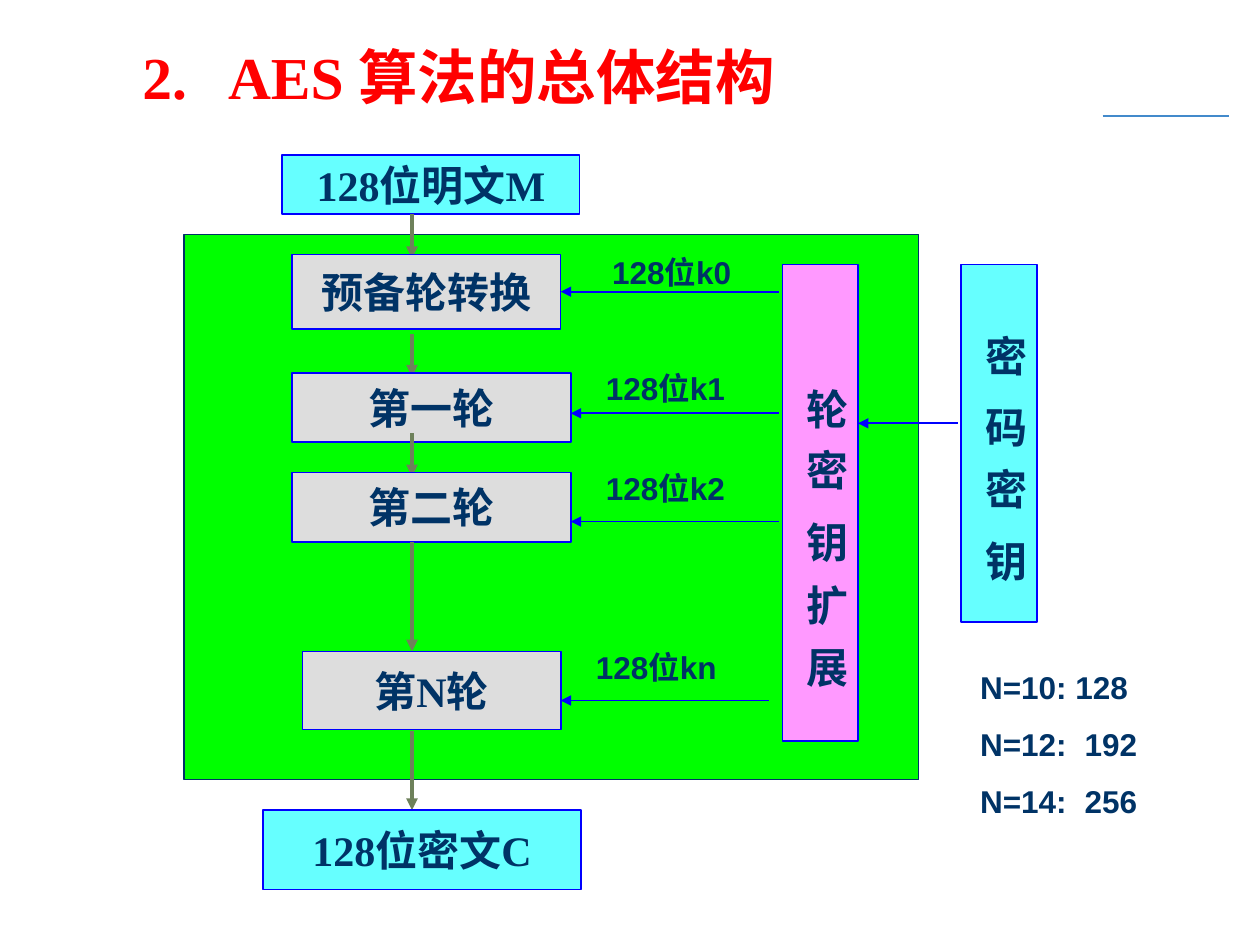
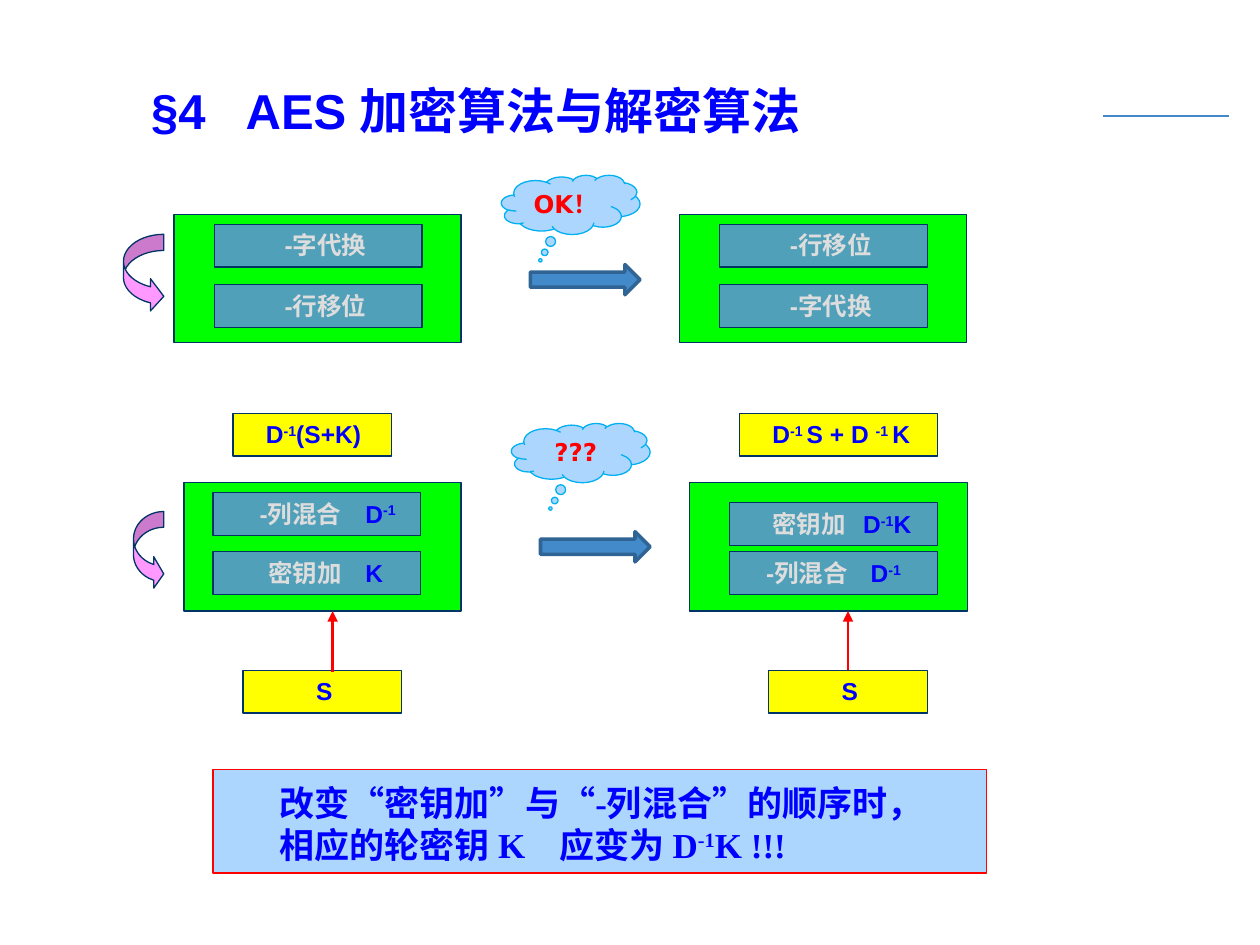
from dataclasses import dataclass

from lxml import etree
from pptx import Presentation
from pptx import util as u
from pptx.dml.color import RGBColor
from pptx.enum import shapes, text
from pptx.oxml import ns

SHAPE = shapes.MSO_SHAPE
ALIGN = text.PP_ALIGN
ANCHOR = text.MSO_ANCHOR
TIGHT = (0.08, 0.04, 0.08, 0.04)
ROOMY = (0.1, 0.05, 0.1, 0.05)


@dataclass(frozen=True)
class Theme:
    """Colours, fonts and type sizes of the deck."""
    green: str = "00FF00"
    cyan: str = "66FFFF"
    pink: str = "FF99FF"
    gray: str = "DDDDDD"
    teal: str = "51A0B9"
    yellow: str = "FFFF00"
    pale: str = "ADD6FF"
    sky: str = "00B0F0"
    accent: str = "438ACB"
    accent_dark: str = "2F6495"
    olive: str = "6E815B"
    navy: str = "003366"
    blue: str = "0000FF"
    red: str = "FF0000"
    serif: str = "Times New Roman"
    sans: str = "Arial"
    cloud_font: str = "DejaVu Sans"
    title: int = 34
    section: int = 28
    box: int = 24
    note: int = 20
    label: int = 18
    cell: int = 14


T = Theme()


def add_tabs(p, stops):
    """Give a paragraph left tab stops, in inches."""
    if stops:
        tabs = etree.SubElement(p._p.get_or_add_pPr(), ns.qn("a:tabLst"))
        for stop in stops:
            etree.SubElement(tabs, ns.qn("a:tab"), pos=str(u.Inches(stop)), algn="l")


def write(sp, lines, size, font, color, inset=ROOMY, align=ALIGN.LEFT,
          anchor=ANCHOR.TOP, wrap=True, tabs=(), gap=0):
    """Write paragraphs of (text, colour) runs; text between carets is superscript."""
    tf = sp.text_frame
    tf.auto_size = text.MSO_AUTO_SIZE.NONE
    tf.word_wrap, tf.vertical_anchor = wrap, anchor
    tf.margin_left, tf.margin_top, tf.margin_right, tf.margin_bottom = map(u.Inches, inset)
    for i, line in enumerate(lines):
        p = tf.add_paragraph() if i else tf.paragraphs[0]
        add_tabs(p, tabs)
        p.alignment = align
        p.space_before = u.Pt(gap if i else 0)
        runs = [(line, color)] if isinstance(line, str) else line
        for words, tint in runs:
            for n, part in enumerate(words.split("^")):
                if not part:
                    continue
                r = p.add_run()
                r.text = part
                r.font.name, r.font.size, r.font.bold = font, u.Pt(size), True
                r.font.color.rgb = RGBColor.from_string(tint)
                if n % 2:
                    r._r.get_or_add_rPr().set("baseline", "30000")


def add_box(s, at, fill, line=T.navy, width=0.75, kind=SHAPE.RECTANGLE, adj=()):
    """Add a filled and outlined preset shape."""
    sp = s.shapes.add_shape(kind, *map(u.Inches, at))
    sp.shadow.inherit = False
    sp.fill.solid()
    sp.fill.fore_color.rgb = RGBColor.from_string(fill)
    sp.line.color.rgb = RGBColor.from_string(line)
    sp.line.width = u.Pt(width)
    for i, value in enumerate(adj):
        sp.adjustments[i] = value
    return sp


def add_line(s, start, end, color, width, arrow=True):
    """Add a straight line, with an arrowhead at its end if wanted."""
    cx = s.shapes.add_connector(shapes.MSO_CONNECTOR.STRAIGHT, *map(u.Inches, start + end))
    cx.line.color.rgb = RGBColor.from_string(color)
    cx.line.width = u.Pt(width)
    if arrow:
        etree.SubElement(cx.line._get_or_add_ln(), ns.qn("a:tailEnd"), type="triangle")
    etree.SubElement(cx._element.spPr, ns.qn("a:effectLst"))
    return cx


def add_label(s, at, lines, **style):
    """Add a bold label without fill."""
    sp = s.shapes.add_textbox(*map(u.Inches, at))
    write(sp, lines, T.label, T.sans, T.navy, **style)


def new_slide(prs, title, at, size, font, color, inset, tab):
    """Add a title-only slide with its title and the shared rule."""
    s = prs.slides.add_slide(prs.slide_layouts[5])
    add_line(s, (8.75, 0.92), (9.75, 0.92), T.accent, 0.75, arrow=False)
    sp = s.shapes.title
    sp.left, sp.top, sp.width, sp.height = map(u.Inches, at)
    write(sp, [title], size, font, color, (inset, 0.04, 0.08, 0.04), tabs=[tab])
    return s


def cipher_flow(s, x, y):
    """Draw the steps from plaintext to ciphertext and return the round boxes."""
    steps = [
        ("128位明文M", T.cyan, (0.15, 0, 2.36, 0.47), None),
        ("预备轮转换", T.gray, (0.23, 0.79, 2.13, 0.59), (0.47, 0.82)),
        ("第一轮", T.gray, (0.23, 1.73, 2.21, 0.55), (1.42, 1.76)),
        ("第二轮", T.gray, (0.23, 2.52, 2.21, 0.55), (2.21, 2.55)),
        ("第N轮", T.gray, (0.31, 3.94, 2.05, 0.62), (3.07, 3.94)),
        ("128位密文C", T.cyan, (0, 5.2, 2.52, 0.63), (4.57, 5.2)),
    ]
    boxes = []
    for name, fill, (dx, dy, w, h), arrow in steps:
        if arrow:
            add_line(s, (x + 1.18, y + arrow[0]), (x + 1.18, y + arrow[1]), T.olive, 2.25)
        sp = add_box(s, (x + dx, y + dy, w, h), fill, T.blue, 1)
        write(sp, [name], T.box, T.serif, T.navy, TIGHT, ALIGN.CENTER, ANCHOR.MIDDLE, False)
        boxes.append(sp)
    return boxes[1:-1]


def vertical_box(s, at, fill, word, tabs):
    """Add a box whose characters run downwards, each at its own tab stop."""
    sp = add_box(s, at, fill, T.blue, 1)
    sp.text_frame._txBody.bodyPr.set("vert", "eaVert")
    write(sp, ["".join("\t" + c for c in word)], T.box, T.sans, T.navy,
          (0.05, 0.1, 0.05, 0.1), tabs=tabs)


def key_schedule(s, x, y, rounds):
    """Draw the key expansion, the cipher key and the round keys."""
    vertical_box(s, (x, y, 0.6, 3.78), T.pink, "轮密钥扩展", (0.88, 1.37, 1.94, 2.44, 2.93))
    vertical_box(s, (x + 1.42, y, 0.6, 2.84), T.cyan, "密码密钥", (0.46, 1.03, 1.52, 2.09))
    add_line(s, (x + 1.39, y + 1.26), (x + 0.6, y + 1.26), T.blue, 1)
    keys = [("k0", -0.03, 0.22, -1.45, -0.14), ("k1", -0.03, 1.18, -1.5, 0.78),
            ("k2", -0.03, 2.04, -1.5, 1.57), ("kn", -0.11, 3.46, -1.58, 2.99)]
    for sp, (key, start, dy, label_x, label_y) in zip(rounds, keys):
        right = (sp.left + sp.width) / u.Inches(1)
        cx = add_line(s, (x + start, y + dy), (right, y + dy), T.blue, 1)
        if key == "k0":
            cx.end_connect(sp, 3)
            cx.begin_y = cx.end_y
        add_label(s, (x + label_x, y + label_y, 1.28, 0.4), ["128位" + key], wrap=False)


def structure_slide(prs):
    """Build the slide on the overall structure of AES."""
    s = new_slide(prs, "2.\tAES 算法的总体结构", (0.83, 0.28, 6.64, 0.65),
                  T.title, T.serif, T.red, 0.3, 0.68)
    add_box(s, (1.46, 1.86, 5.83, 4.33), T.green)
    rounds = cipher_flow(s, 2.09, 1.23)
    key_schedule(s, 6.21, 2.1, rounds)
    add_label(s, (7.68, 5.25, 1.81, 1.32), ["N=10: 128", "N=12:\t192", "N=14:\t256"],
              tabs=[0.83], gap=11.2)


def step_pair(s, x, y, w, cells):
    """Draw a green panel holding two step cells."""
    add_box(s, (x, y, w, 1.02), T.green)
    for dx, dy, indent, tab, runs in cells:
        sp = add_box(s, (x + dx, y + dy, 1.65, 0.34), T.teal)
        write(sp, [runs], T.cell, T.sans, T.gray, (indent, 0.05, 0, 0.05), tabs=tab)


def formula(s, x, y, w, words, indent=0.26):
    """Draw a yellow formula box."""
    sp = add_box(s, (x, y, w, 0.34), T.yellow)
    write(sp, [words], T.cell, T.sans, T.blue, (indent, 0.05, 0, 0.05))
    return sp


def exchange(s, x, y, verdict, arrow_dy):
    """Draw a thought cloud above a block arrow."""
    add_box(s, (x + 0.23, y + arrow_dy, 0.87, 0.24), T.accent, T.accent_dark, 2,
            SHAPE.RIGHT_ARROW)
    sp = add_box(s, (x, y, 1.1, 0.47), T.pale, T.sky, 0.75, SHAPE.CLOUD_CALLOUT,
                 (-0.219, 0.939))
    write(sp, [verdict], T.cell, T.cloud_font, T.red, align=ALIGN.CENTER, anchor=ANCHOR.MIDDLE)


def swap_arrow(s, at, adj):
    """Draw the curved arrow beside a pair of steps."""
    add_box(s, at, T.pink, kind=SHAPE.CURVED_RIGHT_ARROW, adj=adj)


def step(name, extra):
    """Return the runs of a step name followed by its blue symbol."""
    return [(name + "\t", T.gray), (extra, T.blue)]


def swap_slide(prs):
    """Build the slide on exchanging steps between encryption and decryption."""
    s = new_slide(prs, "§4\tAES 加密算法与解密算法", (0.43, 0.6, 8.89, 0.55),
                  T.section, T.sans, T.blue, 0.77, 0.75)
    words = ["-字代换", "-行移位"]
    for x, names in ((1.38, words), (5.39, words[::-1])):
        step_pair(s, x, 1.7, 2.28, [(0.32, 0.08 + 0.48 * i, 0.56, (), name)
                                    for i, name in enumerate(names)])
    step_pair(s, 1.46, 3.83, 2.2, [(0.23, 0.08, 0.37, [0.84], step("-列混合", "D^-1^")),
                                   (0.23, 0.55, 0.44, [0.77], step("密钥加", "K"))])
    step_pair(s, 5.47, 3.83, 2.21, [(0.32, 0.16, 0.34, [0.72], step("密钥加", "D^-1^K")),
                                    (0.32, 0.55, 0.29, [0.83], step("-列混合", "D^-1^"))])
    swap_arrow(s, (0.98, 1.86, 0.32, 0.62), (0.4, 0.8, 0.33))
    swap_arrow(s, (1.06, 4.06, 0.24, 0.62), (0.52, 1.04, 0.33))
    exchange(s, 3.98, 1.39, "OK！", 0.71)
    exchange(s, 4.06, 3.36, "???", 0.86)
    formula(s, 1.85, 3.28, 1.26, "D^-1^(S+K)")
    formula(s, 5.87, 3.28, 1.57, "D^-1 ^S + D ^-1 ^K")
    formula(s, 1.93, 5.32, 1.26, "S", 0.58)
    state = formula(s, 6.1, 5.32, 1.26, "S", 0.58)
    add_line(s, (2.64, 5.33), (2.64, 4.85), T.red, 1.5)
    add_line(s, (6.73, 5.32), (6.73, 4.85), T.red, 1.5).begin_connect(state, 0)
    sp = add_box(s, (1.69, 6.11, 6.14, 0.82), T.pale, T.red)
    write(sp, ["改变“密钥加”与“-列混合”的顺序时，", "相应的轮密钥 K\t应变为 D^-1^K !!!"],
          T.note, T.serif, T.blue, (0.53, 0.09, 0.08, 0.04), tabs=[2.22])


def main():
    """Build and save the deck."""
    prs = Presentation()
    prs.slide_width, prs.slide_height = u.Inches(10), u.Inches(7.5)
    structure_slide(prs)
    swap_slide(prs)
    prs.save("out.pptx")


if __name__ == "__main__":
    main()
